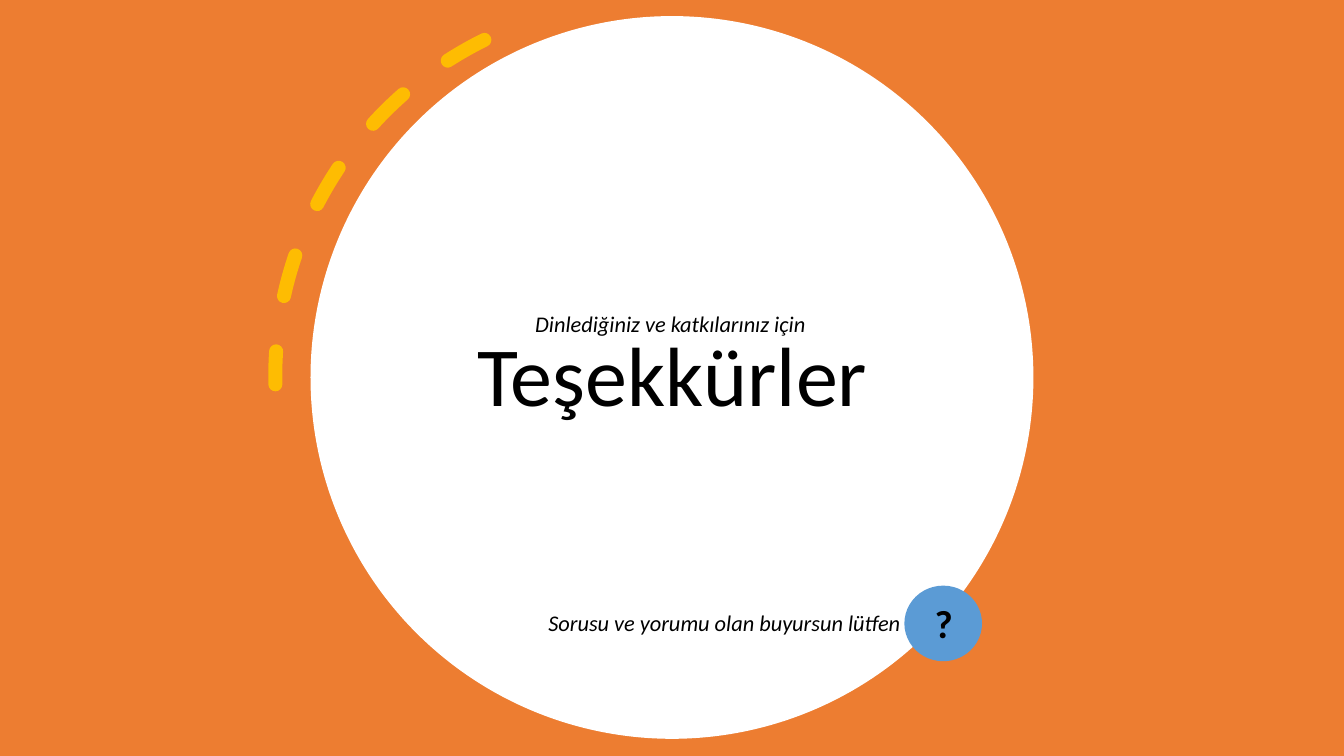
import pptx
import pptx.dml.color
import pptx.enum.dml
import pptx.enum.shapes
import pptx.enum.text
import pptx.oxml
import pptx.oxml.ns
import pptx.util

Inches = pptx.util.Inches
Pt = pptx.util.Pt
SHAPES = pptx.enum.shapes.MSO_SHAPE

COLORS = {
    "background": "ED7D31",
    "disc": "FFFFFF",
    "arc": "FFC000",
    "badge": "5B9BD5",
    "text": "000000",
}


class SlideBuilder:
    font_name = "Calibri"

    def __init__(self, slide):
        self.slide = slide

    def color(self, name):
        return pptx.dml.color.RGBColor.from_string(COLORS[name])

    def shape(self, kind, left, top, width, height):
        shape = self.slide.shapes.add_shape(
            kind, Inches(left), Inches(top), Inches(width), Inches(height)
        )
        shape.shadow.inherit = False
        return shape

    def filled(self, kind, left, top, width, height, color):
        shape = self.shape(kind, left, top, width, height)
        shape.fill.solid()
        shape.fill.fore_color.rgb = self.color(color)
        shape.line.fill.background()

    def dashed_arc(self, left, top, diameter, start, end, rotation):
        arc = self.shape(SHAPES.ARC, left, top, diameter, diameter)
        arc.adjustments[0] = start * 0.6
        arc.adjustments[1] = end * 0.6
        arc.rotation = rotation
        arc.element.spPr.xfrm.set("flipV", "1")
        arc.fill.background()
        arc.line.color.rgb = self.color("arc")
        arc.line.width = Pt(10)
        arc.line.dash_style = pptx.enum.dml.MSO_LINE.DASH
        line = arc.element.spPr.find(pptx.oxml.ns.qn("a:ln"))
        line.set("cap", "rnd")
        color = line.find(".//" + pptx.oxml.ns.qn("a:srgbClr"))
        namespace = pptx.oxml.ns.nsdecls("a")
        color.append(pptx.oxml.parse_xml(f'<a:alpha {namespace} val="95000"/>'))

    def text(self, text, left, top, width, height, size, bold=False, italic=False):
        box = self.slide.shapes.add_textbox(
            Inches(left), Inches(top), Inches(width), Inches(height)
        )
        frame = box.text_frame
        frame.word_wrap = False
        frame.auto_size = pptx.enum.text.MSO_AUTO_SIZE.SHAPE_TO_FIT_TEXT
        paragraph = frame.paragraphs[0]
        paragraph.text = text
        paragraph.font.name = self.font_name
        paragraph.font.size = Pt(size)
        paragraph.font.bold = bold
        paragraph.font.italic = italic
        paragraph.font.color.rgb = self.color("text")
        return frame

    def title(self, text, left, top, width, height, size):
        frame = self.text(text, left, top, width, height, size)
        frame.word_wrap = True
        frame.auto_size = pptx.enum.text.MSO_AUTO_SIZE.NONE
        frame.vertical_anchor = pptx.enum.text.MSO_ANCHOR.BOTTOM
        paragraph = frame.paragraphs[0]
        paragraph.alignment = pptx.enum.text.PP_ALIGN.CENTER
        paragraph.line_spacing = 0.9


def main():
    presentation = pptx.Presentation()
    presentation.slide_width = Inches(13.33)
    presentation.slide_height = Inches(7.5)
    builder = SlideBuilder(presentation.slides.add_slide(presentation.slide_layouts[6]))

    builder.filled(SHAPES.RECTANGLE, 0, 0, 13.33, 7.5, "background")
    builder.filled(SHAPES.OVAL, 3.08, 0.16, 7.17, 7.17, "disc")
    builder.title("Teşekkürler", 3.63, 1.51, 6.08, 2.75, 60)
    builder.dashed_arc(2.73, 0.01, 7.45, start=270, end=334.89, rotation=153.7)
    builder.filled(SHAPES.OVAL, 8.97, 5.81, 0.77, 0.75, "badge")
    builder.text("Sorusu ve yorumu olan buyursun lütfen", 5.34, 5.99, 3.75, 0.37, 16, italic=True)
    builder.text("Dinlediğiniz ve katkılarınız için", 5.21, 3.03, 2.91, 0.37, 16, italic=True)
    builder.text("?", 9.17, 5.9, 0.38, 0.57, 28, bold=True)

    presentation.save("out.pptx")


if __name__ == "__main__":
    main()
